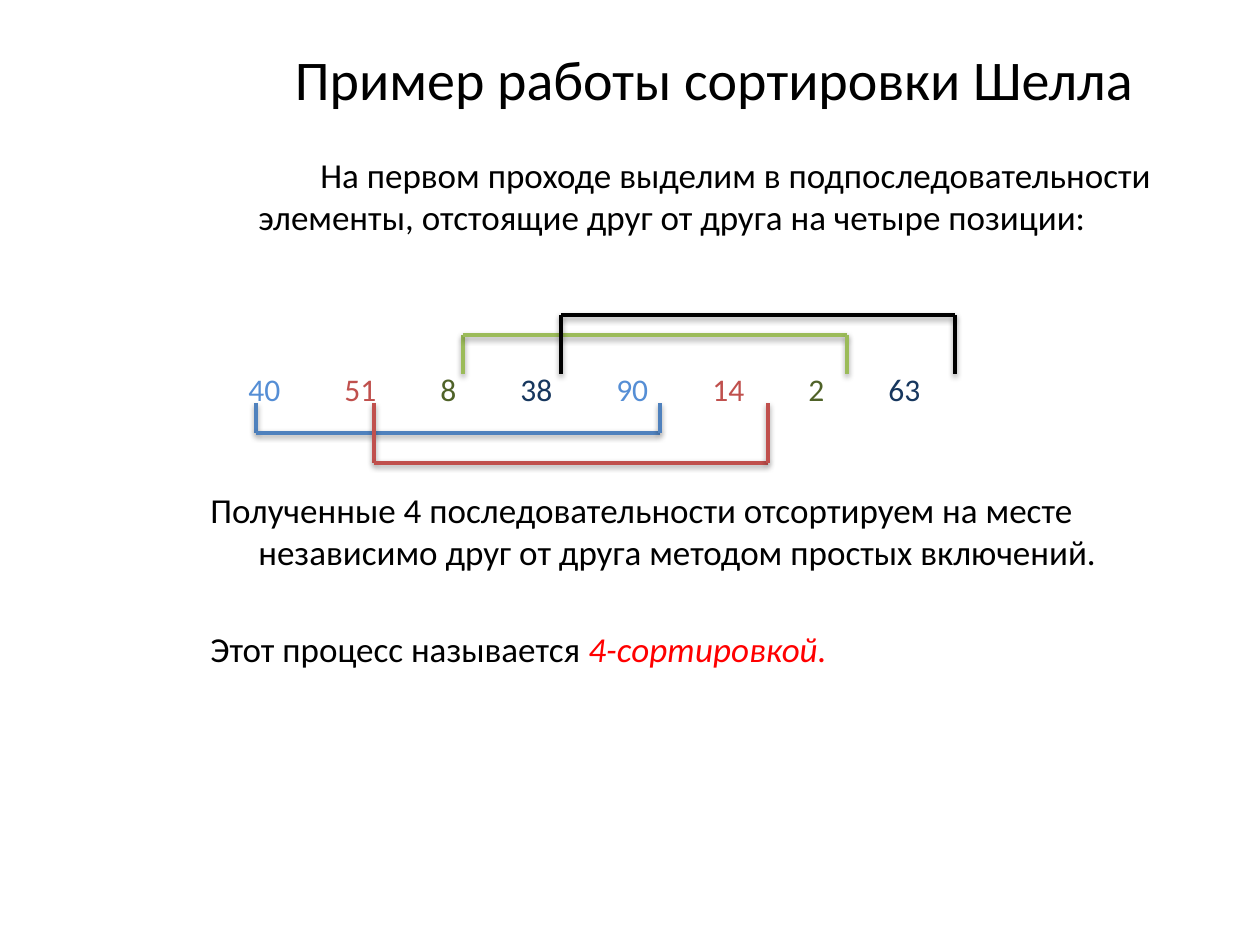
from lxml import etree
from pptx import Presentation
from pptx.dml.color import RGBColor
from pptx.enum import shapes, text
from pptx.oxml import parse_xml
from pptx.oxml.ns import nsdecls, qn
from pptx.util import Pt

EMU_PER_PX = 914400 / 126
SHADOW = (
    f'<a:effectLst {nsdecls("a")}>'
    '<a:outerShdw blurRad="40000" dist="20000" dir="5400000" rotWithShape="0">'
    '<a:srgbClr val="000000"><a:alpha val="38000"/></a:srgbClr>'
    '</a:outerShdw></a:effectLst>'
)


def px(length):
    return round(length * EMU_PER_PX)


def color(value):
    return RGBColor.from_string(value)


def add_run(paragraph, content, size=20, fill="000000", italic=False, font="Calibri"):
    run = paragraph.add_run()
    run.text = content
    run.font.name = font
    run.font.size = Pt(size)
    run.font.italic = italic
    run.font.color.rgb = color(fill)


class SlideBuilder:
    line_width = 2

    def __init__(self, presentation):
        self.slide = presentation.slides.add_slide(presentation.slide_layouts[6])

    def text_box(self, left, top, width, height, wrap=True,
                 anchor=text.MSO_ANCHOR.TOP):
        shape = self.slide.shapes.add_textbox(px(left), px(top), px(width), px(height))
        frame = shape.text_frame
        frame.word_wrap = wrap
        frame.vertical_anchor = anchor
        return frame

    def body_paragraph(self, paragraph, runs, indent, space_before):
        paragraph.space_before = Pt(space_before)
        properties = paragraph._p.get_or_add_pPr()
        properties.set("marL", str(px(48)))
        properties.set("indent", str(px(indent)))
        for content, style in runs:
            add_run(paragraph, content, **style)

    def number_row(self, frame, numbers):
        """Write the numbers in one line, each at its own tab stop."""
        paragraph = frame.paragraphs[0]
        stops = etree.SubElement(paragraph._p.get_or_add_pPr(), qn("a:tabLst"))
        position = 0
        for index, (number, fill) in enumerate(numbers):
            if index:
                etree.SubElement(stops, qn("a:tab"), pos=str(px(position)), algn="l")
            add_run(paragraph, "\t" * bool(index) + number, size=18, fill=fill)
            position += 64 + 16 * len(number)

    def line(self, start, end, fill):
        connector = self.slide.shapes.add_connector(
            shapes.MSO_CONNECTOR.STRAIGHT, *map(px, start + end))
        connector.line.color.rgb = color(fill)
        connector.line.width = Pt(self.line_width)
        connector._element.spPr.append(parse_xml(SHADOW))

    def bracket(self, left, right, open_y, bar_y, fill):
        points = [(left, open_y), (left, bar_y), (right, bar_y), (right, open_y)]
        for start, end in zip(points, points[1:]):
            self.line(start, end, fill)


def main():
    presentation = Presentation()
    presentation.slide_width = px(1260)
    presentation.slide_height = px(945)
    builder = SlideBuilder(presentation)

    # Title
    title = builder.text_box(198, 38, 1033, 81, anchor=text.MSO_ANCHOR.MIDDLE)
    title.paragraphs[0].alignment = text.PP_ALIGN.CENTER
    add_run(title.paragraphs[0], "Пример работы сортировки Шелла", size=32)

    # Explanation, with room for the diagram after the first paragraph
    body = builder.text_box(198, 147, 1033, 713)
    paragraphs = [
        ([("На первом проходе выделим в подпоследовательности элементы, "
           "отстоящие друг от друга на четыре позиции:", {})], 62, 4),
        ([("Полученные 4 последовательности отсортируем на месте независимо "
           "друг от друга методом простых включений.", {})], -48, 143.5),
        ([("Этот процесс называется ", {}),
          ("4-сортировкой.", {"fill": "FF0000", "italic": True})], -48, 31.5),
    ]
    for index, (runs, indent, space_before) in enumerate(paragraphs):
        paragraph = body.add_paragraph() if index else body.paragraphs[0]
        builder.body_paragraph(paragraph, runs, indent, space_before)

    # Numbers: every fourth one shares a colour
    values = ["40", "51", "8", "38", "90", "14", "2", "63"]
    fills = ["558ED5", "C0504D", "4F6228", "17375E"]
    row = builder.text_box(236, 364, 829, 50, wrap=False)
    builder.number_row(row, list(zip(values, fills * 2)))

    # Brackets joining the pairs
    for bracket in [
        (256, 660, 403, 433, "4F81BD"),
        (374, 768, 403, 463, "C0504D"),
        (463, 847, 374, 335, "9BBB59"),
        (561, 955, 374, 315, "000000"),
    ]:
        builder.bracket(*bracket)

    presentation.save("out.pptx")


if __name__ == "__main__":
    main()
